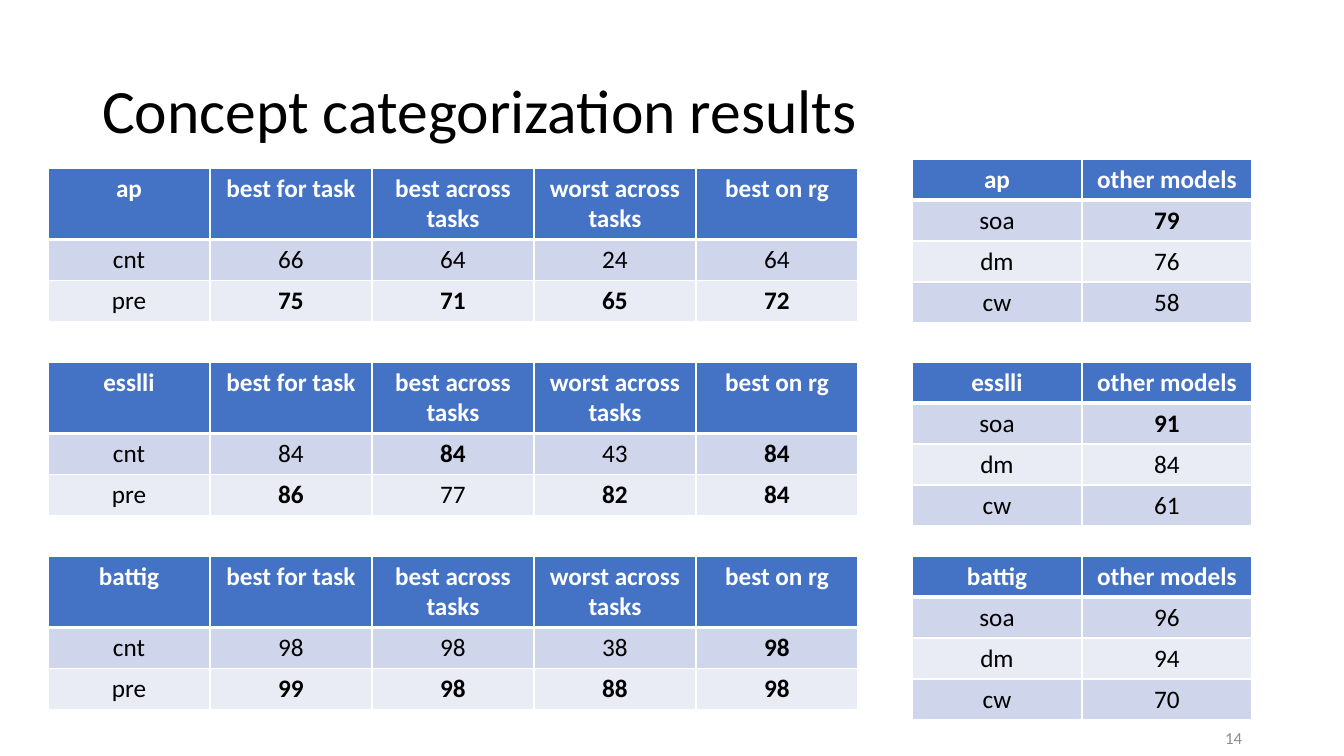
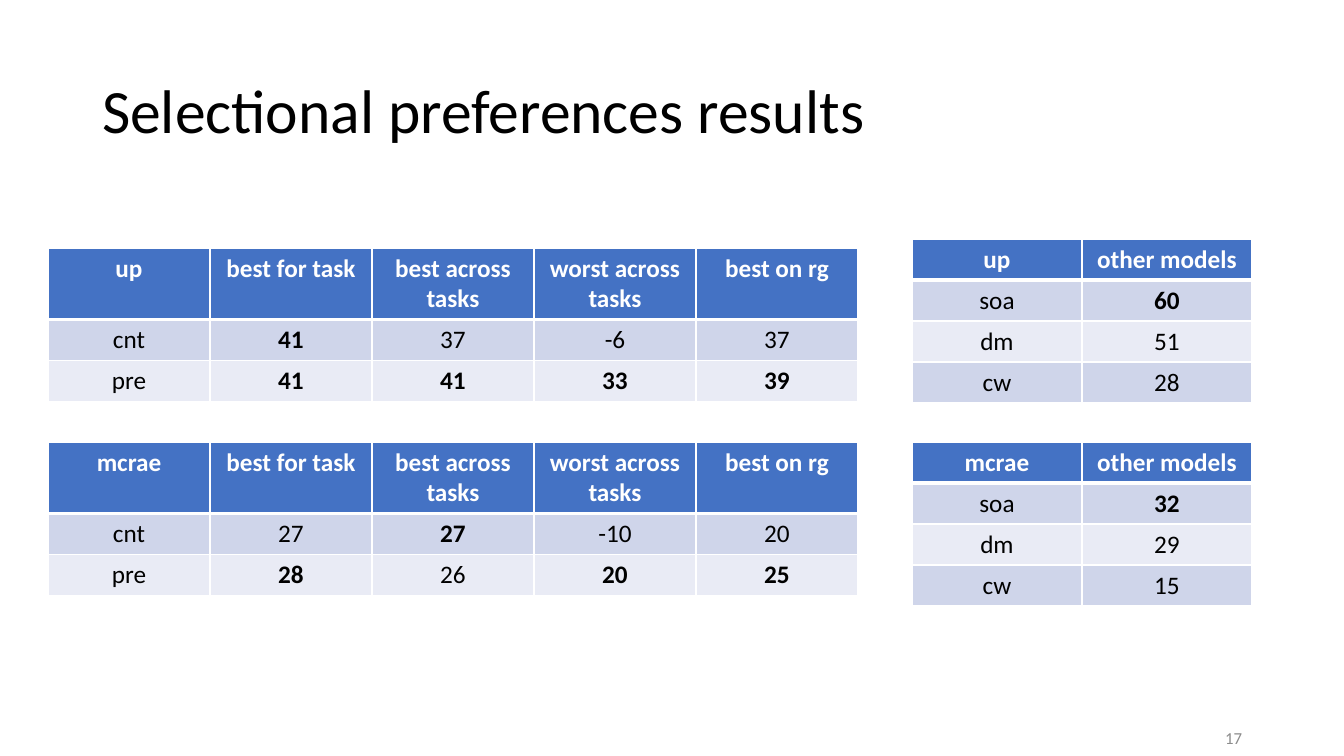
from lxml import etree
from pptx import Presentation
from pptx.dml.color import RGBColor
from pptx.enum.text import MSO_ANCHOR, PP_ALIGN
from pptx.oxml.ns import qn
from pptx.util import Pt

PX = 914400 / 100.8
LEFT, CENTER, RIGHT = PP_ALIGN.LEFT, PP_ALIGN.CENTER, PP_ALIGN.RIGHT
TOP, MIDDLE = MSO_ANCHOR.TOP, MSO_ANCHOR.MIDDLE

FONT = "Calibri"
BLACK = RGBColor(0x00, 0x00, 0x00)
WHITE = RGBColor(0xFF, 0xFF, 0xFF)
GRAY = RGBColor(0x8C, 0x8C, 0x8C)
BLUE = RGBColor(0x44, 0x72, 0xC4)
BANDS = (RGBColor(0xE9, 0xEB, 0xF5), RGBColor(0xCF, 0xD5, 0xEA))

ROW_HEIGHT = 41
TABLE_PITCH = 194
TASK_HEADINGS = ["best for task", "best across tasks", "worst across tasks", "best on rg"]

# Per dataset: cnt scores, pre scores, other models' scores; * marks bold values.
SLIDES = [
    ("Concept categorization results", "14", 168, {
        "ap": ("66 64 24 64", "75* 71* 65* 72*", "79* 76 58"),
        "esslli": ("84 84* 43 84*", "86* 77 82* 84*", "91* 84 61"),
        "battig": ("98 98 38 98*", "99* 98* 88* 98*", "96 94 70"),
    }),
    ("Selectional preferences results", "17", 248, {
        "up": ("41* 37 -6 37", "41* 41* 33* 39*", "60* 51 28"),
        "mcrae": ("27 27* -10 20", "28* 26 20* 25*", "32* 29 15"),
    }),
]


def format_text(frame, size, color, align, bold=False):
    para = frame.paragraphs[0]
    para.alignment = align
    for span in para.runs:
        span.font.name = FONT
        span.font.size = Pt(size)
        span.font.color.rgb = color
        span.font.bold = bold


def add_score_table(page, left, top, column_width, header_height, rows):
    """Add a table with a blue header row; a trailing * makes a value bold."""
    columns = len(rows[0])
    height = header_height + ROW_HEIGHT * (len(rows) - 1)
    table = page.shapes.add_table(
        len(rows), columns, round(left * PX), round(top * PX),
        round(column_width * columns * PX), round(height * PX)).table
    for column in table.columns:
        column.width = round(column_width * PX)
    for r, values in enumerate(rows):
        header = r == 0
        table.rows[r].height = round((header_height if header else ROW_HEIGHT) * PX)
        borders = {"lnL": 1, "lnR": 1, "lnT": 3 if r == 1 else 1, "lnB": 3 if header else 1}
        for c, value in enumerate(values):
            cell = table.cell(r, c)
            cell.text = value.rstrip("*")
            format_text(cell.text_frame, 18, WHITE if header else BLACK, CENTER,
                        header or value.endswith("*"))
            cell.vertical_anchor = TOP
            properties = cell._tc.get_or_add_tcPr()
            for side, width in borders.items():
                line = etree.SubElement(properties, qn(f"a:{side}"), w=str(Pt(width)))
                solid = etree.SubElement(line, qn("a:solidFill"))
                etree.SubElement(solid, qn("a:srgbClr"), val=str(WHITE))
            cell.fill.solid()
            cell.fill.fore_color.rgb = BLUE if header else BANDS[r % 2]


deck = Presentation()
deck.slide_width, deck.slide_height = round(1344 * PX), round(756 * PX)
title_only = deck.slide_layouts[5]

for heading, number, first_top, datasets in SLIDES:
    page = deck.slides.add_slide(title_only)

    title = page.shapes.title
    title.left, title.top = round(92 * PX), round(41 * PX)
    title.width, title.height = round(1159 * PX), round(146 * PX)
    title.text_frame.text = heading
    title.text_frame.vertical_anchor = MIDDLE
    title.text_frame.paragraphs[0].line_spacing = 0.9
    format_text(title.text_frame, 44, BLACK, LEFT)

    for i, (name, (cnt, pre, others)) in enumerate(datasets.items()):
        top = first_top + i * TABLE_PITCH
        add_score_table(page, 48, top, 162, 71, [
            [name, *TASK_HEADINGS], ["cnt", *cnt.split()], ["pre", *pre.split()]])
        # The first table on the right starts a little higher than its neighbour.
        other_top = top - 9 if i == 0 else top
        add_score_table(page, 912, other_top, 170, ROW_HEIGHT, [
            [name, "other models"], *zip(["soa", "dm", "cw"], others.split())])

    # The page number sits below the lowest table of either slide.
    number_box = page.shapes.add_textbox(
        round(950 * PX), round(721 * PX), round(302 * PX), round(34 * PX))
    number_box.text_frame.word_wrap = True
    number_box.text_frame.text = number
    number_box.text_frame.vertical_anchor = MIDDLE
    format_text(number_box.text_frame, 12, GRAY, RIGHT)

deck.save("out.pptx")
